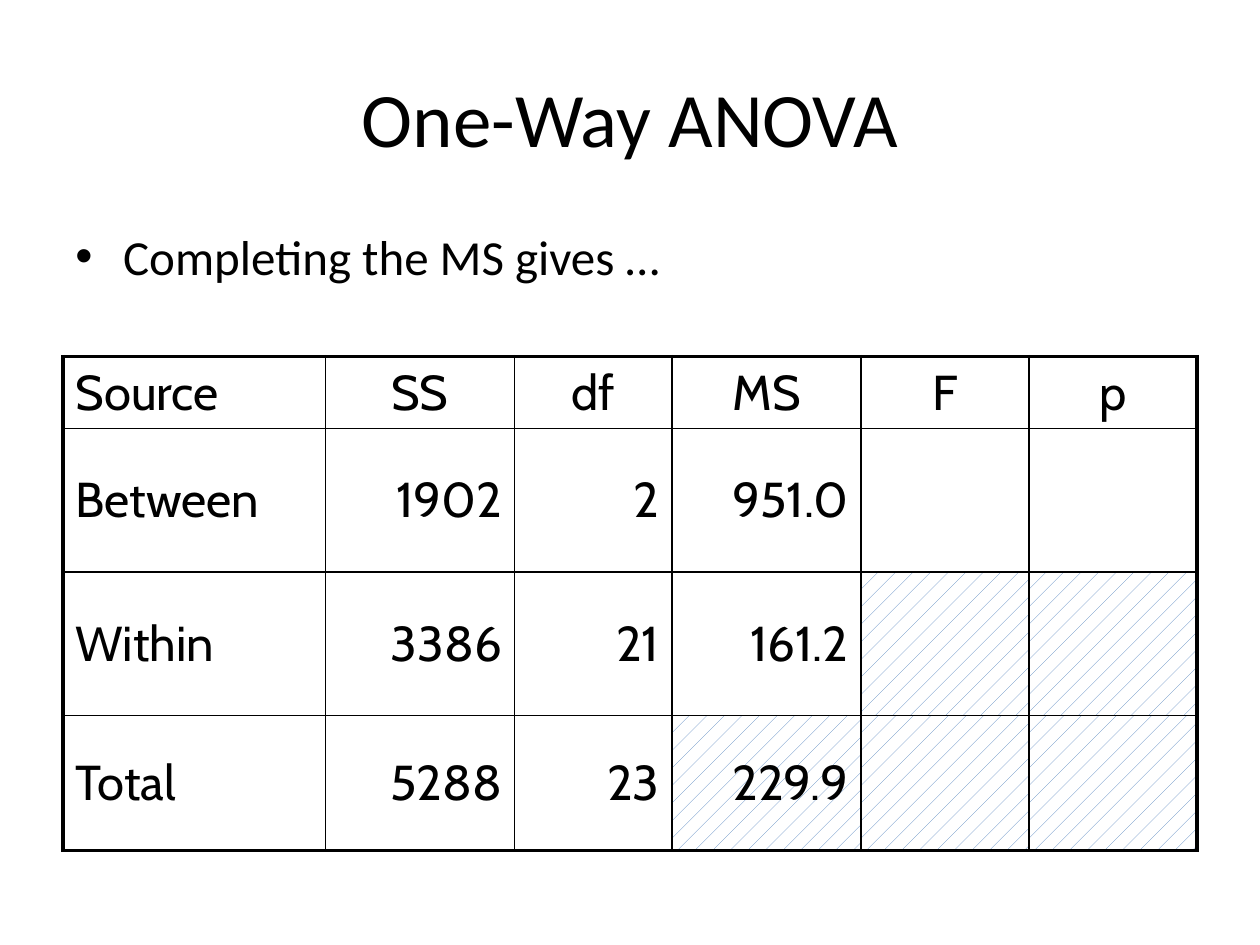
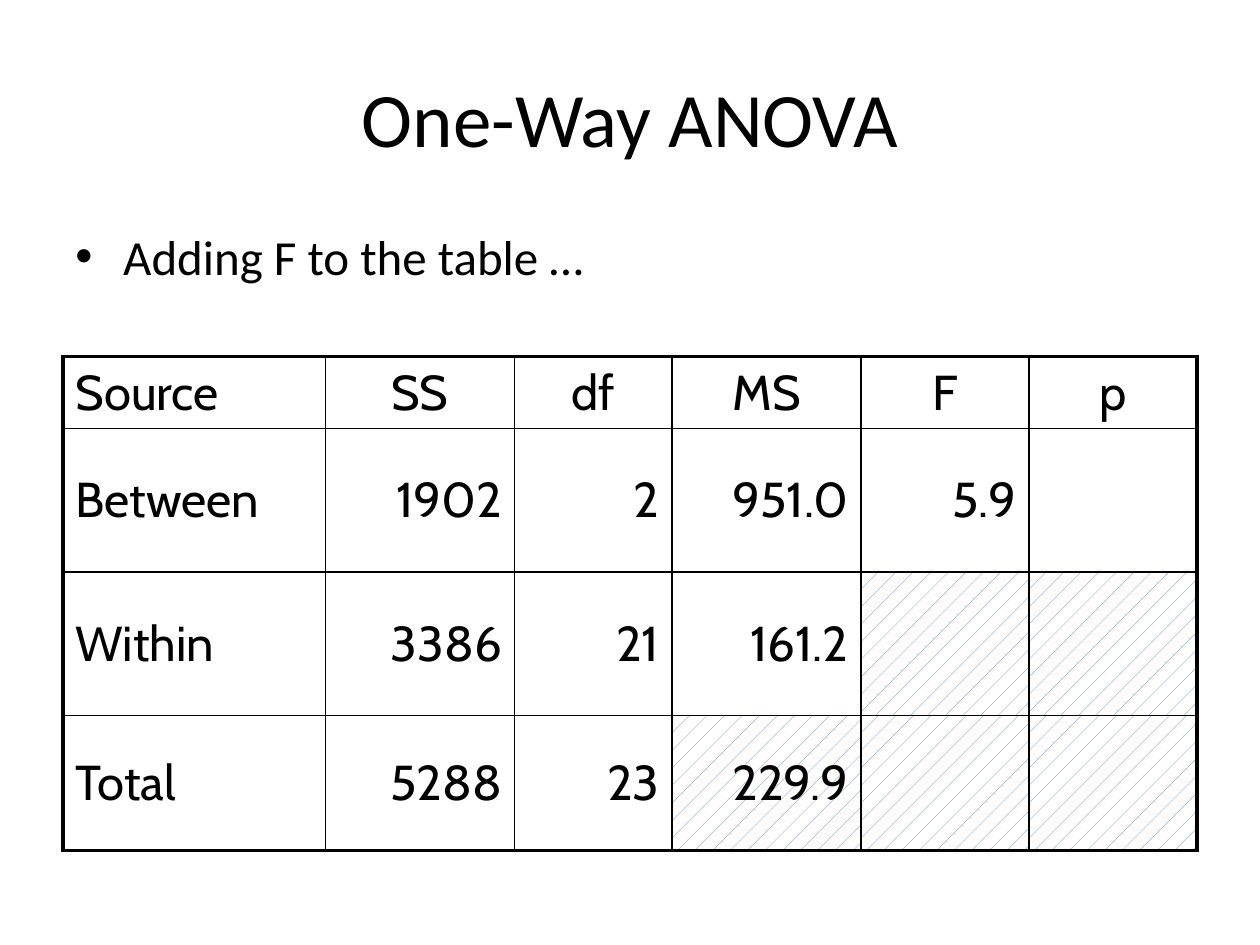
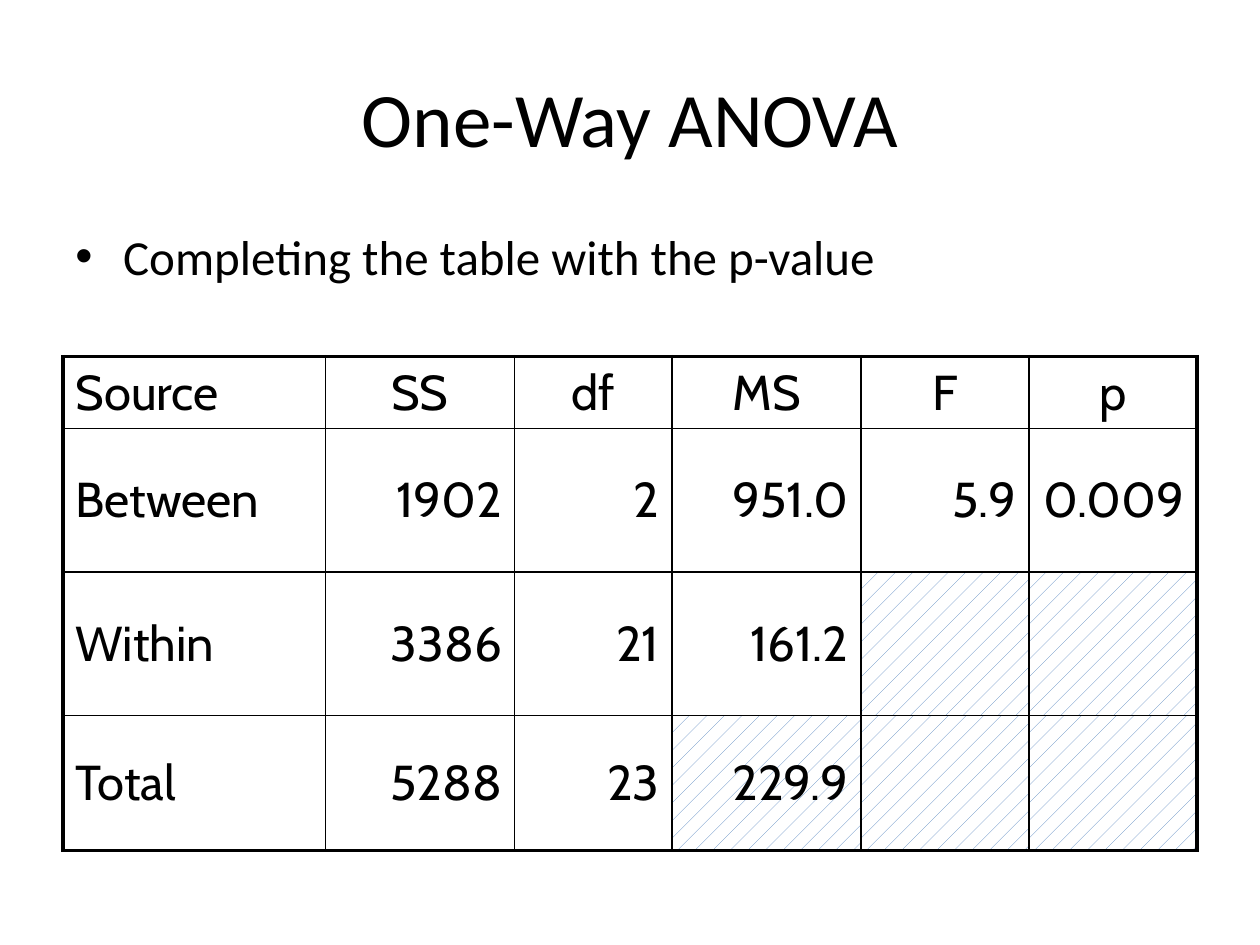
from dataclasses import dataclass

from lxml import etree
from pptx import Presentation
from pptx import util as u
from pptx.dml.color import RGBColor
from pptx.enum import dml, text
from pptx.oxml import ns


@dataclass(frozen=True)
class Theme:
    """Colours, fonts, type sizes and line widths of the deck."""
    ink: str = "000000"
    paper: str = "FFFFFF"
    hatch: str = "4F81BD"
    body_font: str = "Calibri"
    table_font: str = "Cabin"
    title_size: float = 44
    body_size: float = 28
    frame: float = 2.25
    rule: float = 1
    space_before: int = 20
    bullet_indent: float = 0.38


THEME = Theme()
WIDTH, HEIGHT = u.Inches(10), u.Inches(7.5)
GRID = 100
TITLE_BOX = (5, 4, 90, 16.67)
LEAD_BOX = (5, 23.33, 90, 10)
TABLE_BOX = (5, 37.73, 90, 52.27)
COLUMN_SHARES = (25, 18, 15, 18, 16, 16)
ROW_SHARES = (8, 16, 16, 15)

TITLE = "One-Way ANOVA"
HEADER = ("Source", "SS", "df", "MS", "F", "p")
BETWEEN = ("Between", "1902", "2", "951.0")
WITHIN = ("Within", "3386", "21", "161.2", "", "")
TOTAL = ("Total", "5288", "23", "229.9", "", "")
HATCHED = {(2, 4), (2, 5), (3, 3), (3, 4), (3, 5)}
STEPS = (
    ("Completing the MS gives …", ("", "")),
    ("Adding F to the table …", ("5.9", "")),
    ("Completing the table with the p-value", ("5.9", "0.009")),
)


def place(box):
    """Turn grid columns and rows into slide lengths."""
    return [int(n * side / GRID) for n, side in zip(box, (WIDTH, HEIGHT) * 2)]


def add_node(parent, tag, **attrs):
    """Append a drawing element with the given attributes."""
    return etree.SubElement(parent, ns.qn(tag), attrs)


def write(tf, words, font, size, align):
    """Set one styled paragraph and return it."""
    tf.text = words
    p = tf.paragraphs[0]
    p.alignment = align
    for r in p.runs:
        r.font.name = font
        r.font.size = u.Pt(size)
        r.font.color.rgb = RGBColor.from_string(THEME.ink)
    return p


def space_above(p):
    """Give a paragraph proportional space before it."""
    spacing = add_node(p._p.get_or_add_pPr(), "a:spcBef")
    add_node(spacing, "a:spcPct", val=str(THEME.space_before * 1000))


def add_text(s, box, words, size, align, anchor):
    """Add a wrapped text box and return its paragraph."""
    tf = s.shapes.add_textbox(*place(box)).text_frame
    tf.word_wrap = True
    tf.vertical_anchor = anchor
    return write(tf, words, THEME.body_font, size, align)


def add_title(s, box):
    """Add the centred slide title."""
    add_text(s, box, TITLE, THEME.title_size,
             text.PP_ALIGN.CENTER, text.MSO_ANCHOR.MIDDLE)


def add_lead(s, box, words):
    """Add the bulleted sentence above the table."""
    p = add_text(s, box, words, THEME.body_size,
                 text.PP_ALIGN.LEFT, text.MSO_ANCHOR.TOP)
    indent = u.Inches(THEME.bullet_indent)
    props = p._p.get_or_add_pPr()
    props.set("marL", str(indent))
    props.set("indent", str(-indent))
    space_above(p)
    add_node(props, "a:buFont", typeface="Arial")
    add_node(props, "a:buChar", char="•")


def draw_borders(cell, outer):
    """Rule a cell, with the heavier frame on its outer sides."""
    props = cell._tc.get_or_add_tcPr()
    for side in "LRTB":
        width = THEME.frame if side in outer else THEME.rule
        line = add_node(props, f"a:ln{side}", w=str(u.Pt(width)))
        fill = add_node(line, "a:solidFill")
        add_node(fill, "a:srgbClr", val=THEME.ink)


def fill_cell(cell, hatched):
    """Hatch a cell that takes no value, or leave it clear."""
    if not hatched:
        cell.fill.background()
        return
    cell.fill.patterned()
    cell.fill.pattern = dml.MSO_PATTERN.PERCENT_5
    cell.fill.fore_color.rgb = RGBColor.from_string(THEME.hatch)
    cell.fill.back_color.rgb = RGBColor.from_string(THEME.paper)


def cell_align(row, col):
    """Choose left for labels, centre for headings, right for values."""
    if col == 0:
        return text.PP_ALIGN.LEFT
    return text.PP_ALIGN.CENTER if row == 0 else text.PP_ALIGN.RIGHT


def add_anova_table(s, box, rows):
    """Add the variance table, dividing its box by column and row shares."""
    left, top, width, height = place(box)
    table = s.shapes.add_table(len(rows), len(HEADER),
                               left, top, width, height).table
    table.first_row = table.horz_banding = False
    for column, share in zip(table.columns, COLUMN_SHARES):
        column.width = int(width * share / sum(COLUMN_SHARES))
    for row, share in zip(table.rows, ROW_SHARES):
        row.height = int(height * share / sum(ROW_SHARES))
    last_row, last_col = len(rows) - 1, len(HEADER) - 1
    for i, values in enumerate(rows):
        for j, value in enumerate(values):
            cell = table.cell(i, j)
            cell.vertical_anchor = text.MSO_ANCHOR.MIDDLE
            p = write(cell.text_frame, value, THEME.table_font,
                      THEME.body_size, cell_align(i, j))
            space_above(p)
            edges = {"L": j == 0, "R": j == last_col,
                     "T": i == 0, "B": i == last_row}
            draw_borders(cell, {side for side, on in edges.items() if on})
            fill_cell(cell, (i, j) in HATCHED)


def add_step_slide(prs, lead, results):
    """Add one step of the worked table."""
    s = prs.slides.add_slide(prs.slide_layouts[6])
    add_title(s, TITLE_BOX)
    add_lead(s, LEAD_BOX, lead)
    add_anova_table(s, TABLE_BOX, (HEADER, BETWEEN + results, WITHIN, TOTAL))


def main():
    """Build and save the deck."""
    prs = Presentation()
    prs.slide_width, prs.slide_height = WIDTH, HEIGHT
    for lead, results in STEPS:
        add_step_slide(prs, lead, results)
    prs.save("out.pptx")


if __name__ == "__main__":
    main()
